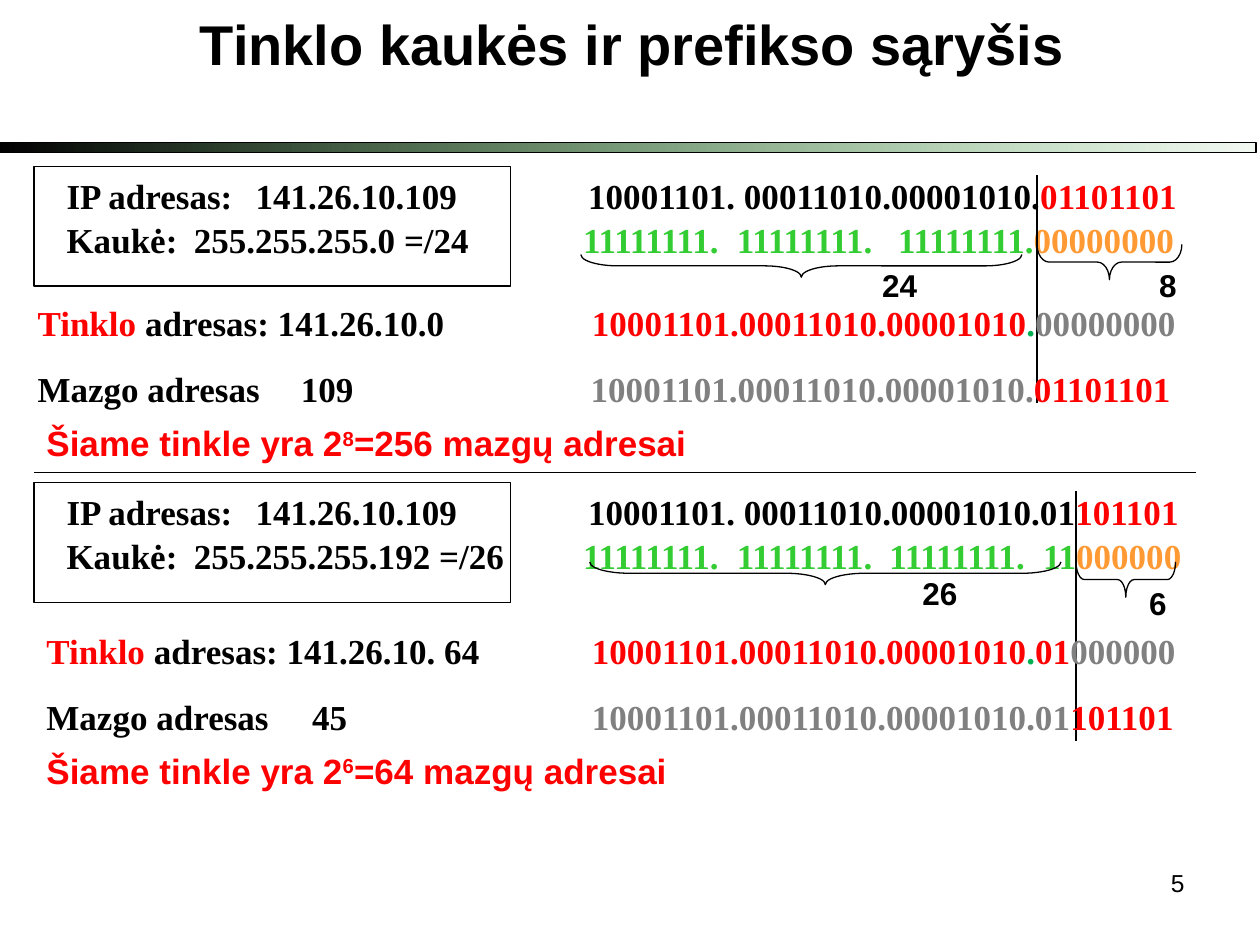
from dataclasses import dataclass

from lxml import etree
from pptx import Presentation
from pptx import util as u
from pptx.dml.color import RGBColor
from pptx.enum import shapes, text
from pptx.oxml.ns import qn

SCALE = 9144


@dataclass(frozen=True)
class Theme:
    """Colours, fonts and type sizes of the slide."""
    black: str = "000000"
    red: str = "FF0000"
    lime: str = "33CC33"
    orange: str = "FF9933"
    green: str = "00B050"
    grey: str = "808080"
    bar_end: str = "008000"
    sans: str = "Arial"
    serif: str = "Times New Roman"
    title: int = 32
    body: int = 20
    label: int = 18
    number: int = 14
    line: float = 0.75
    spacing: float = 1.05


T = Theme()
LEFT, CENTER, RIGHT = text.PP_ALIGN.LEFT, text.PP_ALIGN.CENTER, text.PP_ALIGN.RIGHT


def px(n):
    """Turn px into EMU."""
    return u.Emu(round(n * SCALE))


def rgb(name):
    """Look up a theme colour."""
    return RGBColor.from_string(getattr(T, name))


def assign(obj, values):
    """Set attributes from a dict."""
    for key, value in values.items():
        setattr(obj, key, value)


def add_text(s, box, paras, size, font, align=LEFT, before=0, inset=(10, 5), bold=True, wrap=True):
    """Add a text box; each paragraph is (tab stops, runs of (text, colour[, superscript]))."""
    tf = s.shapes.add_textbox(*map(px, box)).text_frame
    mx, my = map(px, inset)
    assign(tf, dict(word_wrap=wrap, margin_left=mx, margin_right=mx, margin_top=my, margin_bottom=my))
    for i, (tabs, runs) in enumerate(paras):
        p = tf.paragraphs[0] if i == 0 else tf.add_paragraph()
        assign(p, dict(alignment=align, line_spacing=T.spacing, space_before=u.Pt(before if i else 0)))
        if tabs:
            tab_list = etree.SubElement(p._p.get_or_add_pPr(), qn("a:tabLst"))
            for pos in tabs:
                etree.SubElement(tab_list, qn("a:tab"), pos=str(px(pos)), algn="l")
        for words, colour, *raised in runs:
            r = p.add_run()
            r.text = words
            assign(r.font, dict(size=u.Pt(size), name=font, bold=bold))
            r.font.color.rgb = rgb(colour)
            if raised:
                r.font._element.set("baseline", "30000")


def add_outline(s, kind, box):
    """Add an unfilled shape with a thin black line."""
    sp = s.shapes.add_shape(kind, *map(px, box))
    sp.shadow.inherit = False
    sp.fill.background()
    sp.line.color.rgb = rgb("black")
    sp.line.width = u.Pt(T.line)
    return sp


def add_line(s, *ends):
    """Add a thin black straight line."""
    c = s.shapes.add_connector(shapes.MSO_CONNECTOR.STRAIGHT, *map(px, ends))
    c.line.color.rgb = rgb("black")
    c.line.width = u.Pt(T.line)
    etree.SubElement(c._element.spPr, qn("a:effectLst"))


def add_brace(s, x, y, span, depth):
    """Add a brace that lies below the digits and points down."""
    box = (x + (span - depth) / 2, y + (depth - span) / 2, depth, span)
    sp = add_outline(s, shapes.MSO_SHAPE.RIGHT_BRACE, box)
    sp.rotation = 90
    sp.adjustments[0] = span / 12 / depth


def header(s, box):
    """Place the title and the fading bar."""
    x, y, w, h = box
    add_text(s, (x + 27, y, 950, 64), [((), [("Tinklo kaukės ir prefikso sąryšis", "black")])],
             T.title, T.sans, CENTER)
    sp = add_outline(s, shapes.MSO_SHAPE.RECTANGLE, (x - 3, y + h - 8, w, 8))
    sp.fill.gradient()
    sp.fill.gradient_angle = 0
    for stop, colour in zip(sp.fill.gradient_stops, ("black", "bar_end")):
        stop.color.rgb = rgb(colour)
    last = list(sp.fill._xPr.iter(qn("a:srgbClr")))
    ends = [e for e in last if e.get("val") == T.bar_end]
    etree.SubElement(ends[0], qn("a:alpha"), val="5000")


def example(s, box, d):
    """Place one worked example of mask and prefix."""
    x, y, w, h = box
    add_text(s, (x + 16, y, 957, 77), d["address"], T.body, T.serif)
    split = x + d["split"]
    add_line(s, split, y + 7, split, y + h)
    nx, ny = d["net_at"]
    add_text(s, (x + nx, y + ny, 950, 94), d["net"], T.body, T.serif, before=12.5)
    for bx, by, span, depth in d["braces"]:
        add_brace(s, x + bx, y + by, span, depth)
    for lx, ly, words in d["counts"]:
        add_text(s, (x + lx, y + ly, 82, 30), [((), [(words, "black")])],
                 T.label, T.sans, CENTER, inset=(0, 0))
    power, total = d["hosts"]
    runs = [("Šiame tinkle yra 2", "red"), (power, "red", True), (f"={total} mazgų adresai", "red")]
    add_text(s, (x, y + d["hosts_y"], 528, 44), [((), runs)], T.body, T.sans, wrap=False)
    add_outline(s, shapes.MSO_SHAPE.RECTANGLE, (x, y, 378, 95))


def footer(s, box):
    """Place the slide number."""
    add_text(s, box, [((), [("5", "black")])], T.number, T.sans, RIGHT, bold=False)


PREFIX_24 = dict(
    address=[
        ((150, 414), [("IP adresas:\t141.26.10.109\t10001101. 00011010.00001010.", "black"),
                      ("01101101", "red")]),
        ((101, 410, 532, 660), [("Kaukė:\t255.255.255.0 =/24\t", "black"),
                                ("11111111.\t11111111.\t11111111.", "lime"), ("00000000", "orange")])],
    net=[
        ((440,), [("Tinklo", "red"), (" adresas: 141.26.10.0\t", "black"),
                  ("10001101.00011010.00001010", "red"), (".", "green"), ("00000000", "grey")]),
        ((209, 439), [("Mazgo adresas\t109\t", "black"),
                      ("10001101.00011010.00001010.", "grey"), ("01101101", "red")])],
    net_at=(-7, 101), split=796,
    braces=[(434, 70, 350, 18), (796, 62, 115, 28)],
    counts=[(646, 78, "24"), (859, 78, "8")],
    hosts=("8", 256), hosts_y=196)

PREFIX_26 = dict(
    address=[
        ((150, 414), [("IP adresas:\t141.26.10.109\t10001101. 00011010.00001010.01", "black"),
                      ("101101", "red")]),
        ((101, 410, 532, 653, 775), [("Kaukė:\t255.255.255.192 =/26\t", "black"),
                                     ("11111111.\t11111111.\t11111111.\t11", "lime"),
                                     ("000000", "orange")])],
    net=[
        ((433,), [("Tinklo", "red"), (" adresas: 141.26.10. 64\t", "black"),
                  ("10001101.00011010.00001010", "red"), (".", "green"), ("01", "red"),
                  ("000000", "grey")]),
        ((211, 433), [("Mazgo adresas\t45\t", "black"),
                      ("10001101.00011010.00001010.01", "grey"), ("101101", "red")])],
    net_at=(0, 110), split=827,
    braces=[(441, 63, 374, 18), (827, 63, 79, 28)],
    counts=[(678, 71, "26"), (851, 79, "6")],
    hosts=("6", 64), hosts_y=205)


def main():
    """Build the slide."""
    prs = Presentation()
    prs.slide_width, prs.slide_height = px(1000), px(750)
    s = prs.slides.add_slide(prs.slide_layouts[6])
    header(s, (0, 0, 1000, 121))
    example(s, (27, 132, 922, 188), PREFIX_24)
    add_line(s, 27, 375, 949, 375)
    example(s, (27, 383, 922, 205), PREFIX_26)
    footer(s, (717, 683, 233, 52))
    prs.save("out.pptx")


if __name__ == "__main__":
    main()
